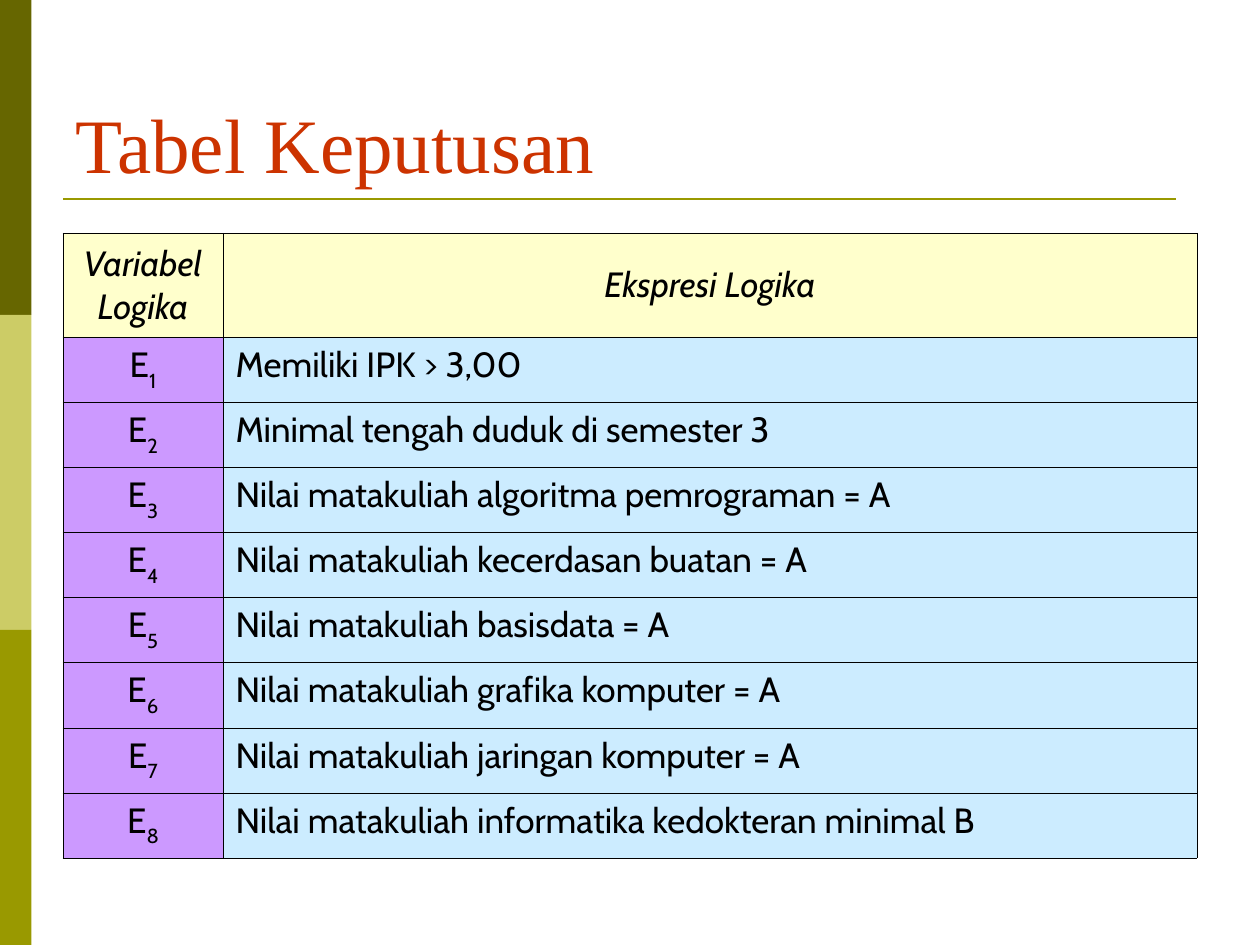
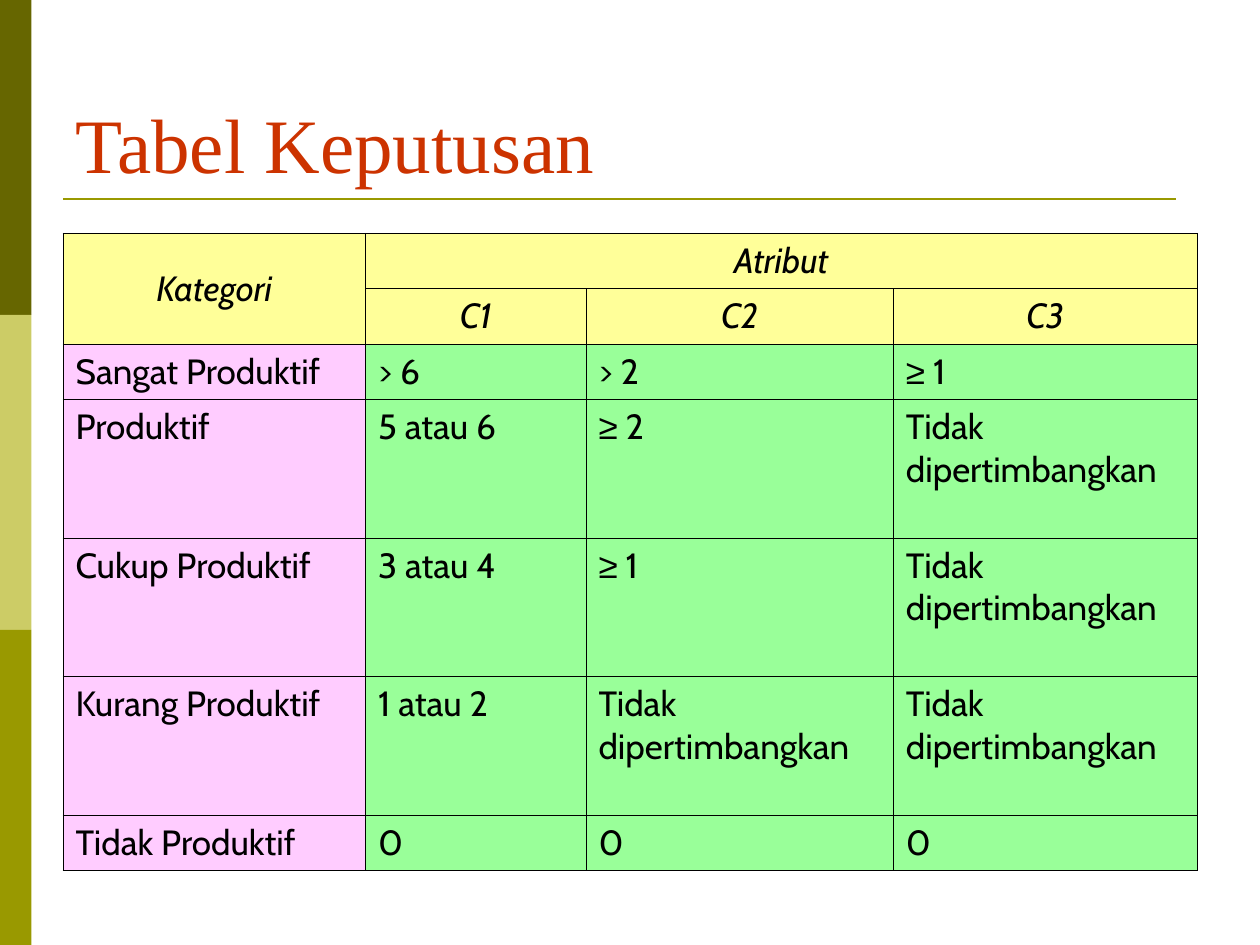
import dataclasses

import lxml.etree
import pptx
import pptx.dml.color
import pptx.enum.shapes
import pptx.enum.text
import pptx.oxml
import pptx.oxml.ns
import pptx.presentation
import pptx.shapes.autoshape
import pptx.slide
import pptx.table
import pptx.util
from pptx.util import Inches

TITLE_FONT = "Times New Roman"
TABLE_FONT = "Cabin"
SYMBOL_FONT = "Arial"
TITLE_COLOUR = "CC3300"
TEXT_COLOUR = "000000"
RULE_COLOUR = "999900"
BAND_COLOURS = ("666600", "CCCC66", "999900")
BAND_HEIGHT = 2.5
TABLE_LEFT, TABLE_TOP = 0.5, 1.85
BORDER_SIDES = ("lnL", "lnR", "lnT", "lnB")
BORDER_WIDTH = pptx.util.Pt(0.45)
TITLE_ONLY = 5


@dataclasses.dataclass(frozen=True)
class Piece:
    """A part of a cell's text with its own font or as a subscript."""

    text: str
    font: str | None = None
    subscript: bool = False


Cell = str | tuple[Piece, ...]


@dataclasses.dataclass(frozen=True)
class DecisionTable:
    """The content and look of one decision table."""

    columns: list[float]
    rows: list[float]
    cells: list[list[Cell]]
    header_rows: int
    header_fill: str
    label_fill: str
    value_fill: str
    centred_labels: bool = False
    merges: tuple[tuple[int, int, int, int], ...] = ()


def colour(value: str) -> pptx.dml.color.RGBColor:
    """Turn a hex string into a colour."""
    return pptx.dml.color.RGBColor.from_string(value)


def at_least(number: int) -> tuple[Piece, ...]:
    """Give the cell text for a lower bound."""
    return Piece("≥", font=SYMBOL_FONT), Piece(f" {number}")


def variable(number: int) -> tuple[Piece, ...]:
    """Give the cell text for a numbered logic variable."""
    return Piece("E"), Piece(str(number), subscript=True)


def add_bands(slide: pptx.slide.Slide) -> None:
    """Draw the stacked bands on the left edge."""
    for index, band_colour in enumerate(BAND_COLOURS):
        band = slide.shapes.add_shape(
            pptx.enum.shapes.MSO_SHAPE.RECTANGLE,
            Inches(0), Inches(index * BAND_HEIGHT), Inches(0.25), Inches(BAND_HEIGHT),
        )
        band.shadow.inherit = False
        band.fill.solid()
        band.fill.fore_color.rgb = colour(band_colour)
        band.line.fill.background()


def add_title_rule(slide: pptx.slide.Slide) -> None:
    """Draw the line below the title."""
    rule = slide.shapes.add_connector(
        pptx.enum.shapes.MSO_CONNECTOR.STRAIGHT,
        Inches(0.5), Inches(1.58), Inches(9.33), Inches(1.58),
    )
    rule.line.color.rgb = colour(RULE_COLOUR)
    rule.line.width = pptx.util.Pt(1.5)
    lxml.etree.SubElement(rule._element.spPr, pptx.oxml.ns.qn("a:effectLst"))


def set_title(slide: pptx.slide.Slide, text: str) -> None:
    """Place and format the title placeholder."""
    title = slide.shapes.title
    title.left, title.top = Inches(0.5), Inches(0.3)
    title.width, title.height = Inches(9), Inches(1.25)
    frame = title.text_frame
    frame.text = text
    frame.auto_size = pptx.enum.text.MSO_AUTO_SIZE.NONE
    frame.vertical_anchor = pptx.enum.text.MSO_ANCHOR.BOTTOM
    paragraph = frame.paragraphs[0]
    paragraph.alignment = pptx.enum.text.PP_ALIGN.LEFT
    paragraph.font.name = TITLE_FONT
    paragraph.font.size = pptx.util.Pt(44)
    paragraph.font.color.rgb = colour(TITLE_COLOUR)


def add_borders(cell: pptx.table._Cell) -> None:
    """Give a cell a thin border on every side."""
    properties = cell._tc.get_or_add_tcPr()
    for side in BORDER_SIDES:
        border = lxml.etree.SubElement(properties, pptx.oxml.ns.qn(f"a:{side}"), w=str(BORDER_WIDTH))
        fill = lxml.etree.SubElement(border, pptx.oxml.ns.qn("a:solidFill"))
        lxml.etree.SubElement(fill, pptx.oxml.ns.qn("a:srgbClr"), val=TEXT_COLOUR)


def write_cell(cell: pptx.table._Cell, content: Cell, header: bool, centred: bool) -> None:
    """Write and format the text of a cell."""
    paragraph = cell.text_frame.paragraphs[0]
    paragraph.alignment = pptx.enum.text.PP_ALIGN.CENTER if centred else pptx.enum.text.PP_ALIGN.LEFT
    paragraph.font.name = TABLE_FONT
    paragraph.font.size = pptx.util.Pt(20)
    paragraph.font.bold = False
    paragraph.font.italic = header
    paragraph.font.color.rgb = colour(TEXT_COLOUR)
    if header:
        cell.vertical_anchor = pptx.enum.text.MSO_ANCHOR.MIDDLE
    for piece in (Piece(content),) if isinstance(content, str) else content:
        run = paragraph.add_run()
        run.text = piece.text
        if piece.font:
            run.font.name = piece.font
        if piece.subscript:
            run._r.get_or_add_rPr().set("baseline", "-30000")


def add_decision_table(slide: pptx.slide.Slide, design: DecisionTable) -> None:
    """Build a decision table from its description."""
    table = slide.shapes.add_table(
        len(design.rows), len(design.columns),
        Inches(TABLE_LEFT), Inches(TABLE_TOP),
        Inches(sum(design.columns)), Inches(sum(design.rows)),
    ).table
    table.first_row = False
    table.horz_banding = False
    for column, width in zip(table.columns, design.columns):
        column.width = Inches(width)
    for row, height in zip(table.rows, design.rows):
        row.height = Inches(height)
    for top, left, bottom, right in design.merges:
        table.cell(top, left).merge(table.cell(bottom, right))
    for row_index, contents in enumerate(design.cells):
        header = row_index < design.header_rows
        for column_index, content in enumerate(contents):
            cell = table.cell(row_index, column_index)
            label = column_index == 0
            add_borders(cell)
            cell.fill.solid()
            body_fill = design.label_fill if label else design.value_fill
            cell.fill.fore_color.rgb = colour(design.header_fill if header else body_fill)
            if not cell.is_spanned:
                write_cell(cell, content, header, header or (label and design.centred_labels))


def add_decision_slide(presentation: pptx.presentation.Presentation, design: DecisionTable) -> None:
    """Add a slide with the shared frame and one decision table."""
    slide = presentation.slides.add_slide(presentation.slide_layouts[TITLE_ONLY])
    add_bands(slide)
    add_title_rule(slide)
    set_title(slide, "Tabel Keputusan")
    add_decision_table(slide, design)


EXPRESSIONS = [
    "Memiliki IPK > 3,00",
    "Minimal tengah duduk di semester 3",
    "Nilai matakuliah algoritma pemrograman = A",
    "Nilai matakuliah kecerdasan buatan = A",
    "Nilai matakuliah basisdata = A",
    "Nilai matakuliah grafika komputer = A",
    "Nilai matakuliah jaringan komputer = A",
    "Nilai matakuliah informatika kedokteran minimal B",
]
IGNORED = "Tidak dipertimbangkan"

LOGIC_TABLE = DecisionTable(
    columns=[1.27, 7.73],
    rows=[0.83] + [4.13 / len(EXPRESSIONS)] * len(EXPRESSIONS),
    cells=[
        ["Variabel Logika", "Ekspresi Logika"],
        *([variable(number), text] for number, text in enumerate(EXPRESSIONS, start=1)),
    ],
    header_rows=1,
    header_fill="FFFFCC",
    label_fill="CC99FF",
    value_fill="CCECFF",
    centred_labels=True,
)

CATEGORY_TABLE = DecisionTable(
    columns=[2.4, 1.75, 2.44, 2.41],
    rows=[0.44] * 3 + [1.1] * 3 + [0.44],
    cells=[
        ["Kategori", "Atribut", "", ""],
        ["", "C1", "C2", "C3"],
        ["Sangat Produktif", "> 6", "> 2", at_least(1)],
        ["Produktif", "5 atau 6", at_least(2), IGNORED],
        ["Cukup Produktif", "3 atau 4", at_least(1), IGNORED],
        ["Kurang Produktif", "1 atau 2", IGNORED, IGNORED],
        ["Tidak Produktif", "0", "0", "0"],
    ],
    header_rows=2,
    header_fill="FFFF99",
    label_fill="FFCCFF",
    value_fill="99FF99",
    merges=((0, 0, 1, 0), (0, 1, 0, 3)),
)


def main() -> None:
    """Build and save the presentation."""
    presentation = pptx.Presentation()
    presentation.slide_width = Inches(10)
    presentation.slide_height = Inches(7.5)
    for design in (LOGIC_TABLE, CATEGORY_TABLE):
        add_decision_slide(presentation, design)
    presentation.save("out.pptx")


if __name__ == "__main__":
    main()
